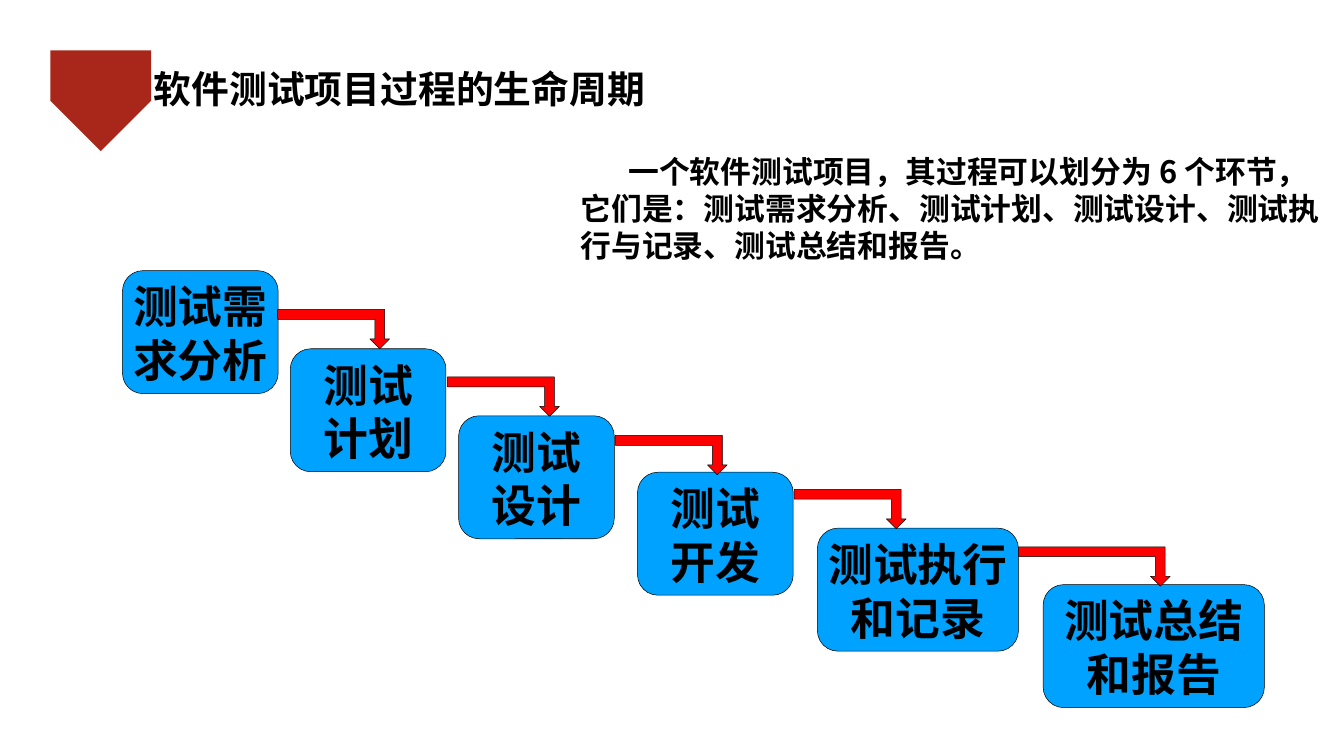
"""Build the slide on the life cycle of a software testing project."""
from dataclasses import dataclass

from lxml import etree
from pptx import Presentation
from pptx.dml.color import RGBColor
from pptx.enum import shapes, text
from pptx.oxml.ns import qn
from pptx.util import Inches, Pt

COLORS = {"hexagon": "A8271A", "step": "00A2FF", "arrow": "FF0000", "ink": "000000"}
CJK_FONT = "Noto Sans CJK SC"
STEP_HEIGHT = 2.44
ARROW_HEIGHT = 0.78


@dataclass
class Step:
    label: str
    left: float
    top: float
    width: float = 3.09


@dataclass
class Arrow:
    left: float
    top: float
    width: float = 2.22


STEPS = [
    Step("测试需求分析", 2.43, 5.37),
    Step("测试\n计划", 5.76, 6.92),
    Step("测试\n设计", 9.1, 8.25),
    Step("测试\n开发", 12.65, 9.37),
    Step("测试执行和记录", 16.22, 10.48, 3.99),
    Step("测试总结和报告", 20.7, 11.6, 4.39),
]
ARROWS = [
    Arrow(5.51, 6.14),
    Arrow(8.88, 7.48),
    Arrow(12.21, 8.64),
    Arrow(15.76, 9.71),
    Arrow(20.21, 10.85, 3.01),
]
HEXAGON = [(1.86, 0.9), (2.66, 1.35), (2.66, 2.26), (1.86, 2.72), (1.06, 2.26), (1.06, 1.35)]


def paint(shape, fill: str, line: str | None = None) -> None:
    shape.shadow.inherit = False
    shape.fill.solid()
    shape.fill.fore_color.rgb = RGBColor.from_string(COLORS[fill])
    if line is None:
        shape.line.fill.background()
    else:
        shape.line.color.rgb = RGBColor.from_string(COLORS[line])
        shape.line.width = Pt(0.75)


def write(frame, content: str, size: float, font: str, alignment, anchor, inset: tuple[float, float]) -> None:
    frame.text = content
    frame.word_wrap = True
    frame.auto_size = text.MSO_AUTO_SIZE.NONE
    frame.vertical_anchor = anchor
    frame.margin_left = frame.margin_right = Inches(inset[0])
    frame.margin_top = frame.margin_bottom = Inches(inset[1])
    for paragraph in frame.paragraphs:
        paragraph.alignment = alignment
        for run in paragraph.runs:
            run.font.size = Pt(size)
            run.font.bold = True
            run.font.color.rgb = RGBColor.from_string(COLORS["ink"])
            run.font.name = font
            east_asian = etree.SubElement(run.font._element, qn("a:ea"))
            east_asian.set("typeface", CJK_FONT)


def rounded_corners(corners: list[tuple[float, float]], cut: float = 0.1, parts: int = 6) -> list[tuple[float, float]]:
    points = []
    for index, (x, y) in enumerate(corners):
        ends = []
        for other_x, other_y in (corners[index - 1], corners[(index + 1) % len(corners)]):
            share = cut / ((other_x - x) ** 2 + (other_y - y) ** 2) ** 0.5
            ends.append((x + share * (other_x - x), y + share * (other_y - y)))
        (start_x, start_y), (end_x, end_y) = ends
        for part in range(parts + 1):
            t = part / parts
            a, b, c = (1 - t) ** 2, 2 * t * (1 - t), t ** 2
            points.append((a * start_x + b * x + c * end_x, a * start_y + b * y + c * end_y))
    return points


def add_hexagon(slide) -> None:
    first, *rest = rounded_corners(HEXAGON)
    builder = slide.shapes.build_freeform(*first, scale=Inches(1))
    builder.add_line_segments(rest, close=True)
    paint(builder.convert_to_shape(), "hexagon")


def add_title(slide) -> None:
    title = slide.shapes.title
    title.left, title.top = Inches(2.99), Inches(1.18)
    title.width, title.height = Inches(10.95), Inches(1.14)
    write(title.text_frame, "软件测试项目过程的生命周期", 54, CJK_FONT,
          text.PP_ALIGN.LEFT, text.MSO_ANCHOR.MIDDLE, (0.06, 0.06))


def add_step(slide, step: Step) -> None:
    shape = slide.shapes.add_shape(
        shapes.MSO_SHAPE.ROUNDED_RECTANGLE,
        Inches(step.left), Inches(step.top), Inches(step.width), Inches(STEP_HEIGHT))
    paint(shape, "step", "ink")
    write(shape.text_frame, step.label, 64, "Arial",
          text.PP_ALIGN.CENTER, text.MSO_ANCHOR.TOP, (0, 0.05))


def add_arrow(slide, arrow: Arrow) -> None:
    shape = slide.shapes.add_shape(
        shapes.MSO_SHAPE.BENT_UP_ARROW,
        Inches(arrow.left), Inches(arrow.top), Inches(arrow.width), Inches(ARROW_HEIGHT))
    paint(shape, "arrow", "ink")
    shape._element.spPr.find(qn("a:xfrm")).set("flipV", "1")


def add_summary(slide) -> None:
    box = slide.shapes.add_textbox(Inches(11.32), Inches(2.93), Inches(15.35), Inches(4.44))
    write(box.text_frame,
          "一个软件测试项目，其过程可以划分为 6 个环节，它们是：测试需求分析、测试计划、测试设计、测试执行与记录、测试总结和报告。",
          44, CJK_FONT, text.PP_ALIGN.LEFT, text.MSO_ANCHOR.TOP, (0.2, 0.1))
    properties = box.text_frame.paragraphs[0]._p.get_or_add_pPr()
    properties.set("indent", str(Inches(0.95)))


def main() -> None:
    presentation = Presentation()
    presentation.slide_width, presentation.slide_height = Inches(26.67), Inches(15)
    slide = presentation.slides.add_slide(presentation.slide_layouts[5])
    add_hexagon(slide)
    add_title(slide)
    for step in STEPS:
        add_step(slide, step)
    for arrow in ARROWS:
        add_arrow(slide, arrow)
    add_summary(slide)
    presentation.save("out.pptx")


if __name__ == "__main__":
    main()
